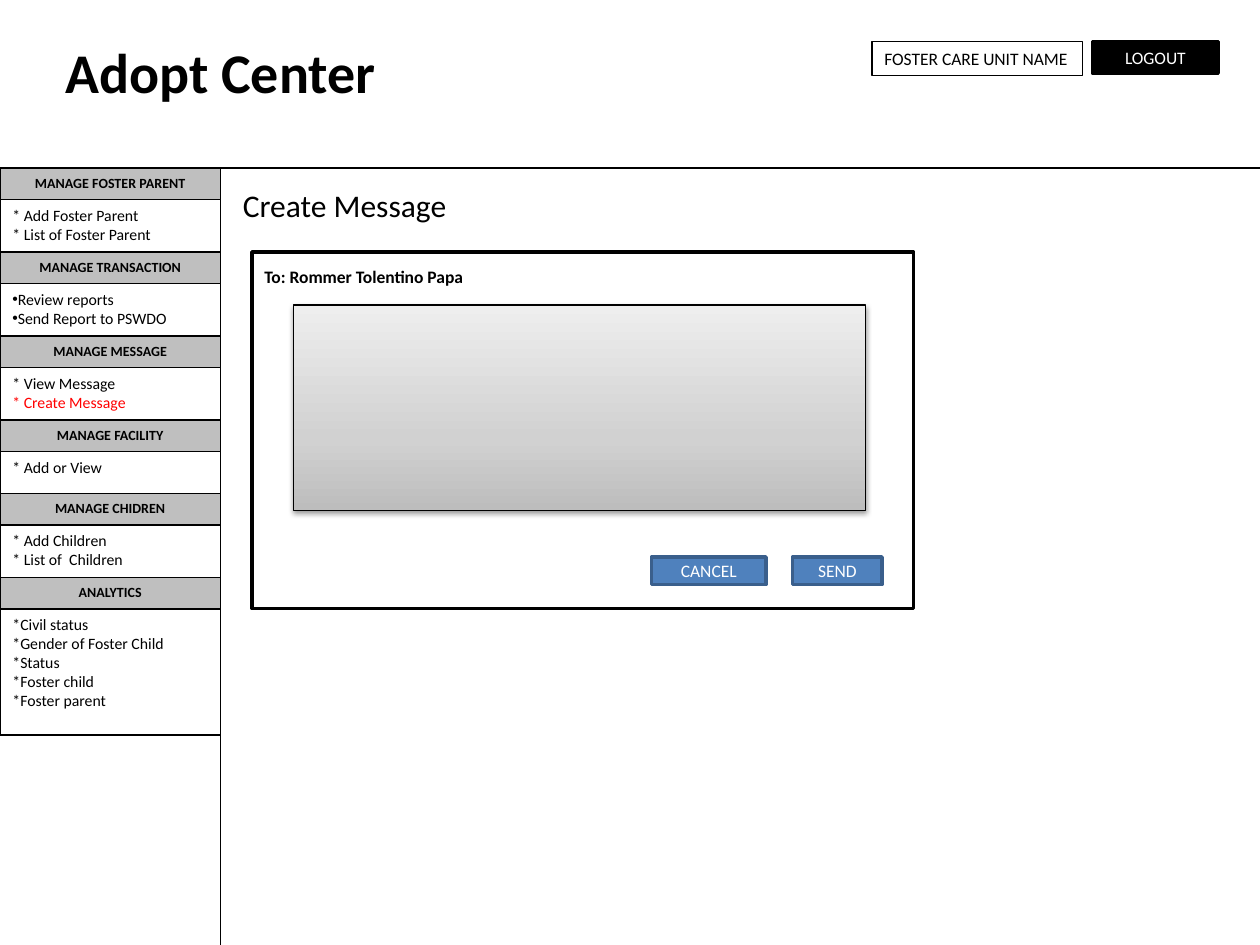
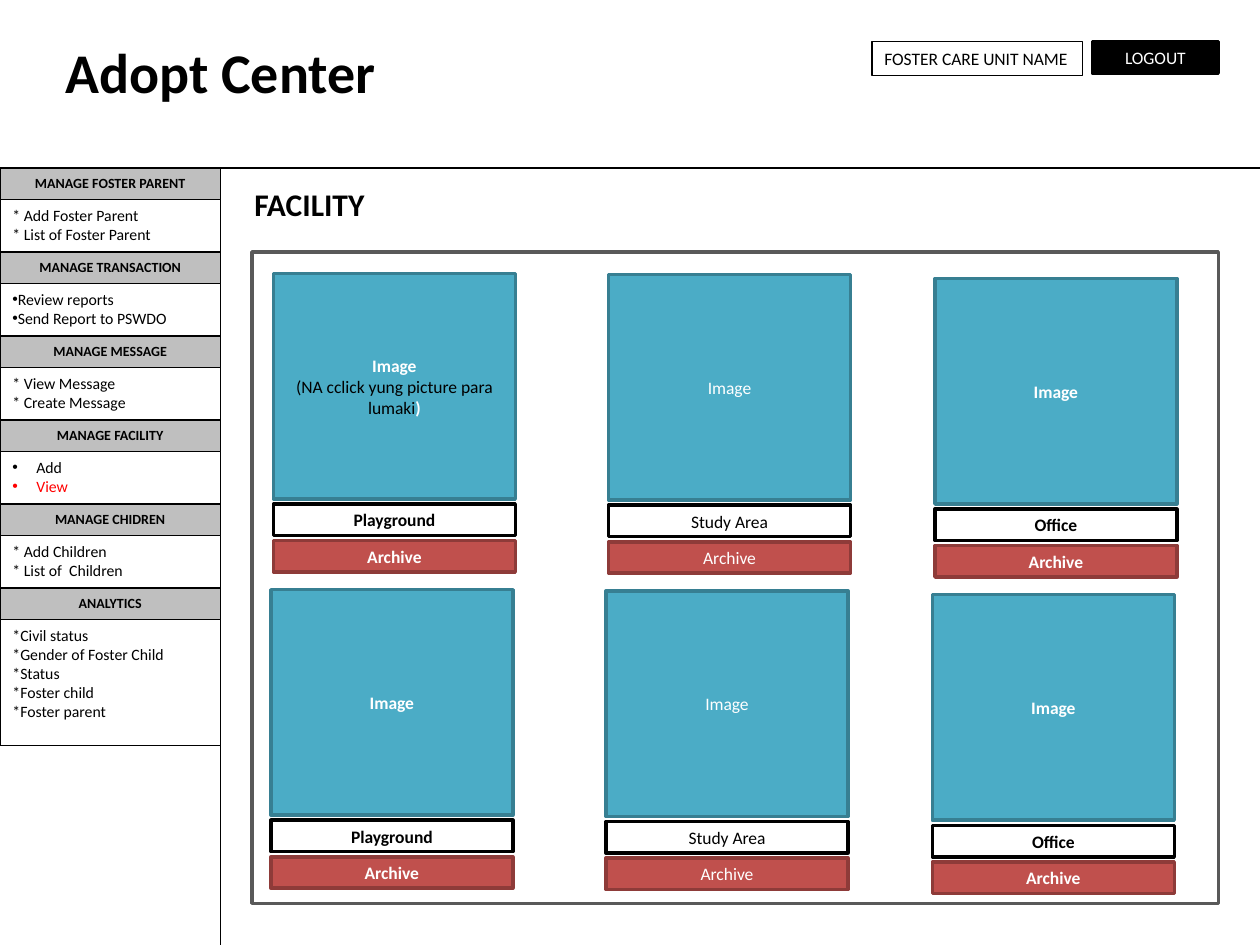
from lxml import etree
from pptx import Presentation
from pptx.dml.color import RGBColor
from pptx.enum.shapes import MSO_CONNECTOR as Connector, MSO_SHAPE as Preset
from pptx.enum.text import MSO_ANCHOR as Anchor, MSO_AUTO_SIZE as AutoSize, PP_ALIGN as Align
from pptx.oxml import parse_xml
from pptx.oxml.ns import nsdecls, qn
from pptx.util import Inches, Pt

BLACK, WHITE, RED, GRAY = "000000", "FFFFFF", "FF0000", "BFBFBF"
BLUE, BLUE_EDGE = "4F81BD", "3A5F8C"
TEAL, TEAL_EDGE = "4BACC6", "377F92"
BRICK, BRICK_EDGE = "C0504D", "8E3B39"
PANEL_EDGE = "595959"
THIN, THICK = 0.75, 2
SIDEBAR_WIDTH, HEADER_BOTTOM = 1.75, 4 / 3
HEADING_HEIGHT, MENU_HEIGHT, SHORT_MENU_HEIGHT, LONG_MENU_HEIGHT = 0.25, 5 / 12, 1 / 3, 1

HEADING = {"size": 8, "bold": True, "align": Align.CENTER}
MENU = {"size": 9}
BUTTON = {"size": 10, "color": WHITE, "align": Align.CENTER, "anchor": Anchor.MIDDLE}
FITTED = {"auto_size": AutoSize.SHAPE_TO_FIT_TEXT}
ANALYTICS = ["*Civil status", "*Gender of Foster Child", "*Status", "*Foster child", "*Foster parent"]


def rgb(color):
    return RGBColor.from_string(color)


def add_bullet(paragraph, indent):
    properties = paragraph._p.get_or_add_pPr()
    properties.set("marL", str(Inches(indent)))
    properties.set("indent", str(-Inches(indent)))
    etree.SubElement(properties, qn("a:buFont")).set("typeface", "Arial")
    etree.SubElement(properties, qn("a:buChar")).set("char", "•")


def write_text(shape, paragraphs, style):
    frame = shape.text_frame
    settings = {"word_wrap": True, "vertical_anchor": style.get("anchor", Anchor.TOP),
                "auto_size": style.get("auto_size", AutoSize.NONE)}
    for name, value in settings.items():
        setattr(frame, name, value)
    for index, runs in enumerate(paragraphs):
        paragraph = frame.add_paragraph() if index else frame.paragraphs[0]
        paragraph.alignment = style.get("align", Align.LEFT)
        if "bullet" in style:
            add_bullet(paragraph, style["bullet"])
        for text, changes in [(runs, {})] if isinstance(runs, str) else runs:
            look = {**style, **changes}
            run = paragraph.add_run()
            run.text = text
            font = {"name": "Calibri", "size": Pt(look["size"]), "bold": look.get("bold", False)}
            for name, value in font.items():
                setattr(run.font, name, value)
            run.font.color.rgb = rgb(look.get("color", BLACK))


def add_box(slide, place, fill, edge, width, paragraphs=(), style=MENU):
    shape = slide.shapes.add_shape(Preset.RECTANGLE, *map(Inches, place))
    shape.shadow.inherit = False
    if fill:
        shape.fill.solid()
        shape.fill.fore_color.rgb = rgb(fill)
    else:
        shape.fill.background()
    shape.line.color.rgb = rgb(edge)
    shape.line.width = Pt(width)
    write_text(shape, paragraphs, style)
    return shape


def add_label(slide, place, text, size):
    label = slide.shapes.add_textbox(*map(Inches, place))
    write_text(label, [text], {**FITTED, "size": size, "bold": True})


def add_rule(slide, *ends):
    rule = slide.shapes.add_connector(Connector.STRAIGHT, *map(Inches, ends))
    rule.line.color.rgb = rgb(BLACK)
    rule.line.width = Pt(THIN)
    etree.SubElement(rule._element.spPr, qn("a:effectLst"))


def add_message_area(slide, place):
    area = add_box(slide, place, None, BLACK, THIN)
    properties = area._element.spPr
    stops = "".join(f'<a:gs pos="{position * 1000}"><a:srgbClr val="{color}"/></a:gs>'
                    for position, color in [(0, "BDBDBD"), (35, "D1D1D1"), (100, "EEEEEE")])
    gradient = parse_xml(f'<a:gradFill {nsdecls("a")} rotWithShape="1"><a:gsLst>{stops}</a:gsLst>'
                         '<a:lin ang="16200000" scaled="1"/></a:gradFill>')
    properties.replace(properties.find(qn("a:noFill")), gradient)
    properties.find(qn("a:effectLst")).append(parse_xml(
        f'<a:outerShdw {nsdecls("a")} blurRad="{Pt(3.1)}" dist="{Pt(1.6)}" dir="5400000" '
        f'rotWithShape="0"><a:srgbClr val="{BLACK}"><a:alpha val="38000"/></a:srgbClr></a:outerShdw>'))


def add_sidebar(slide, message_menu, facility_menu, facility_style, facility_height):
    sections = [
        ("MANAGE FOSTER PARENT", ["* Add Foster Parent", "* List of Foster Parent"], MENU, MENU_HEIGHT),
        ("MANAGE TRANSACTION", ["Review reports", "Send Report to PSWDO"],
         {**MENU, "bullet": 0}, MENU_HEIGHT),
        ("MANAGE MESSAGE", message_menu, MENU, MENU_HEIGHT),
        ("MANAGE FACILITY", facility_menu, facility_style, facility_height),
        ("MANAGE CHIDREN", ["* Add Children", "* List of  Children"], MENU, MENU_HEIGHT),
        ("ANALYTICS", ANALYTICS, MENU, LONG_MENU_HEIGHT),
    ]
    top = HEADER_BOTTOM
    for heading, menu, style, height in sections:
        add_box(slide, (0, top, SIDEBAR_WIDTH, HEADING_HEIGHT), GRAY, BLACK, THIN, [heading], HEADING)
        top += HEADING_HEIGHT
        add_box(slide, (0, top, SIDEBAR_WIDTH, height), WHITE, BLACK, THIN, menu, style)
        top += height


def add_page(presentation, **menus):
    slide = presentation.slides.add_slide(presentation.slide_layouts[6])
    add_rule(slide, SIDEBAR_WIDTH, HEADER_BOTTOM, SIDEBAR_WIDTH, 7.5)
    add_rule(slide, 0, HEADER_BOTTOM, 10, HEADER_BOTTOM)
    add_box(slide, (8.67, 0.33, 1, 0.25), BLACK, BLACK, THICK, ["LOGOUT"], BUTTON)
    add_box(slide, (6.92, 0.33, 1.67, 0.27), None, BLACK, THIN,
            ["FOSTER CARE UNIT NAME"], {**FITTED, "size": 10})
    add_sidebar(slide, **menus)
    add_label(slide, (0.42, 0.25, 4.42, 0.64), "Adopt Center", 32)
    return slide


def add_facility_card(slide, left, top, name, bold, caption):
    style = {**BUTTON, "bold": bold}
    add_box(slide, (left, top, 1.92, 1.79), TEAL, TEAL_EDGE, THICK, caption, style)
    add_box(slide, (left, top + 1.83, 1.92, 0.25), WHITE, BLACK, THICK, [name], {**style, "color": BLACK})
    add_box(slide, (left, top + 2.12, 1.92, 0.25), BRICK, BRICK_EDGE, THICK, ["Archive"], style)


def build_message_page(presentation):
    slide = add_page(presentation,
                     message_menu=["* View Message", [("* Create Message", {"color": RED})]],
                     facility_menu=["* Add or View"], facility_style=MENU,
                     facility_height=SHORT_MENU_HEIGHT)
    add_box(slide, (1.83, 1.43, 2, 0.4), WHITE, WHITE, THICK, ["Create Message"], {**FITTED, "size": 18})
    add_box(slide, (2, 2, 5.25, 2.83), WHITE, BLACK, THICK)
    add_label(slide, (2, 2.06, 2.62, 0.27), "To: Rommer Tolentino Papa", 10)
    add_message_area(slide, (2.33, 2.42, 4.54, 1.63))
    for text, left, width in [("CANCEL", 5.17, 0.91), ("SEND", 6.29, 0.71)]:
        add_box(slide, (left, 4.42, width, 0.22), BLUE, BLUE_EDGE, THICK, [text], BUTTON)


def build_facility_page(presentation):
    slide = add_page(presentation,
                     message_menu=["* View Message", "* Create Message"],
                     facility_menu=["Add", [("View", {"color": RED})]],
                     facility_style={**MENU, "bullet": 0.19}, facility_height=MENU_HEIGHT)
    add_label(slide, (1.92, 1.42, 3.25, 0.4), "FACILITY", 18)
    add_box(slide, (2, 2, 7.67, 5.17), WHITE, PANEL_EDGE, THICK)
    hint = [("(NA cclick yung picture para lumaki", {"color": BLACK, "bold": False}), (")", {})]
    columns = [(2.17, 2.17, "Playground", True), (4.83, 2.18, "Study Area", False),
               (7.42, 2.21, "Office", True)]
    for row in range(2):
        for column, (left, top, name, bold) in enumerate(columns):
            caption = ["Image"] if row or column else ["Image", hint]
            add_facility_card(slide, left - 0.02 * row, top + 2.51 * row, name, bold, caption)


def main():
    presentation = Presentation()
    presentation.slide_width, presentation.slide_height = Inches(10), Inches(7.5)
    build_message_page(presentation)
    build_facility_page(presentation)
    presentation.save("out.pptx")


main()
